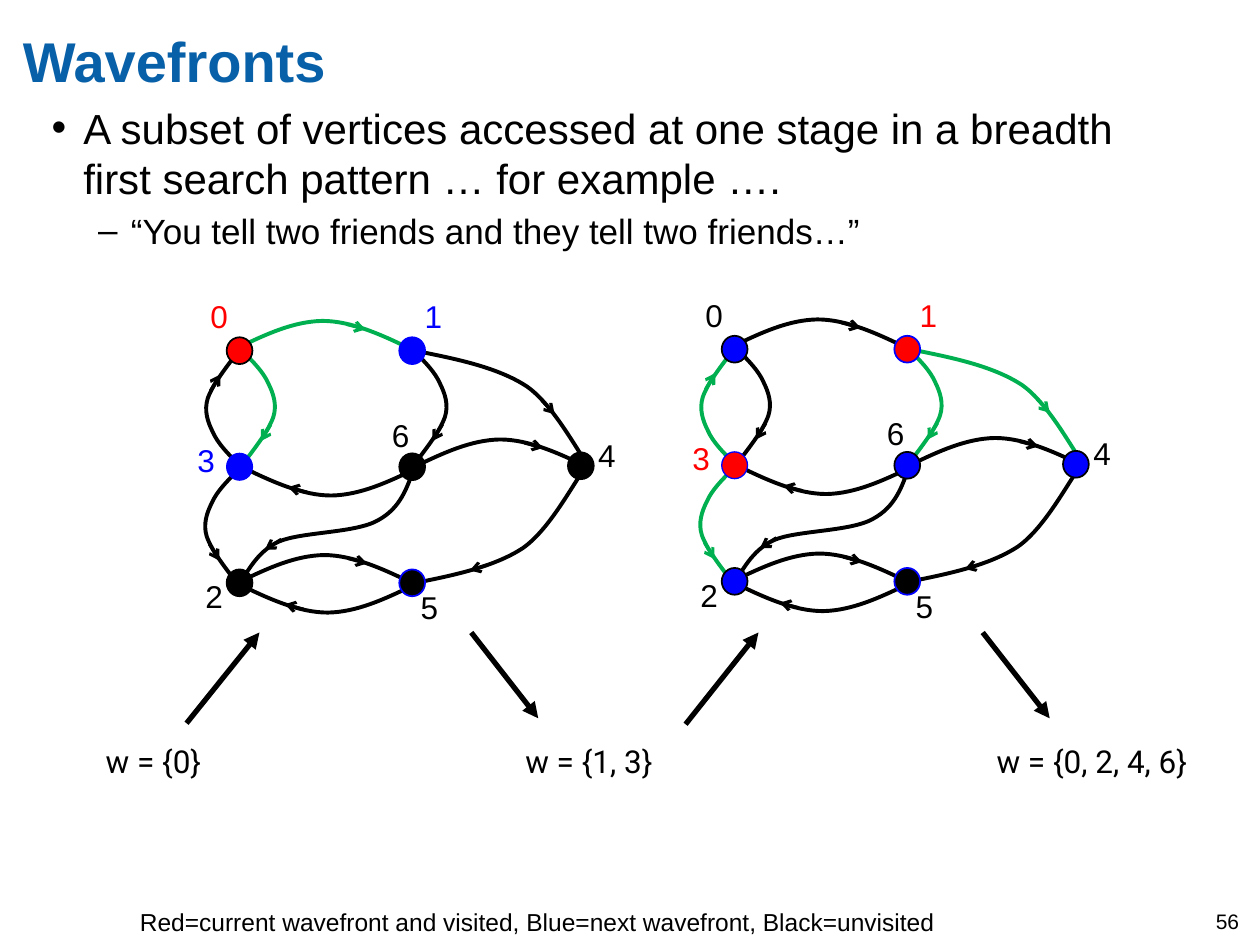
from lxml.etree import SubElement as add_element
from pptx import Presentation
from pptx.dml.color import RGBColor
from pptx.enum.shapes import MSO_CONNECTOR as Connector, MSO_SHAPE as Shape
from pptx.enum.text import MSO_ANCHOR as Anchor, MSO_AUTO_SIZE as AutoSize
from pptx.oxml.ns import qn
from pptx.util import Cm, Pt

rgb = RGBColor.from_string
BLACK, RED, BLUE, GREEN, TITLE = "000000", "FF0000", "0000FF", "00B050", "0860A8"

deck = Presentation()
deck.slide_width, deck.slide_height = Cm(25.4), Cm(19.05)
page = deck.slides.add_slide(deck.slide_layouts[6])


def add_text(shapes, place, lines, size, color=BLACK, font="Arial", inset=0.0, wrap=True):
    box = shapes.add_textbox(*[Cm(length) for length in place])
    frame = box.text_frame
    frame.text = lines
    frame.word_wrap = wrap
    frame.vertical_anchor = Anchor.TOP
    frame.auto_size = AutoSize.NONE if wrap else AutoSize.SHAPE_TO_FIT_TEXT
    frame.margin_left = frame.margin_right = Cm(inset)
    frame.margin_top = frame.margin_bottom = Cm(inset / 2)
    for para in frame.paragraphs:
        for span in para.runs:
            span.font.size = Pt(size)
            span.font.name = font
            span.font.color.rgb = rgb(color)
    return frame


def add_arrow(shapes, start, end, color, width, head):
    arrow = shapes.add_connector(Connector.STRAIGHT, *[Cm(length) for length in (*start, *end)])
    arrow.line.color.rgb = rgb(color)
    arrow.line.width = Pt(width)
    properties = arrow.element.spPr
    add_element(properties.find(qn("a:ln")), qn("a:tailEnd"), type=head)
    add_element(properties, qn("a:effectLst"))


title = add_text(page.shapes, (0.46, 0.53, 22.89, 2.46), "Wavefronts", 32, TITLE)
title.paragraphs[0].runs[0].font.bold = True

body = add_text(
    page.shapes, (1.04, 2.06, 22.89, 3.56),
    "A subset of vertices accessed at one stage in a breadth first search pattern … for example ….\n"
    "“You tell two friends and they tell two friends…”", 24)
for para, bullet, margin, hanging in zip(body.paragraphs, "•–", (0.64, 1.6), (0.64, 0.66)):
    layout = para._p.get_or_add_pPr()
    layout.set("marL", str(Cm(margin)))
    layout.set("indent", str(-Cm(hanging)))
    add_element(layout, qn("a:buFont"), typeface="Arial")
    add_element(layout, qn("a:buChar"), char=bullet)
detail = body.paragraphs[1]
detail.level = 1
detail.space_before = Pt(4)
detail.runs[0].font.size = Pt(20)

side = [(0.2, 0.2), (0.41, 0.41), (0.51, 0.64), (0.61, 0.84), (0.69, 1.07), (0.61, 1.32),
        (0.51, 1.6), (0.25, 1.93), (0, 2.26)]
arc = [(0.56, -0.27), (1.12, -0.53), (1.7, -0.54), (2.29, -0.54), (2.92, -0.25), (3.53, 0.05)]
sweep = [(-0.23, 0.28), (-0.71, 1.24), (-1.27, 1.63), (-1.85, 2.01), (-2.67, 2.18), (-3.48, 2.34)]
wave = [(-0.15, 0.43), (-0.28, 0.84), (-0.74, 1.09), (-1.19, 1.35), (-2.29, 1.32), (-2.74, 1.52),
        (-3.2, 1.73), (-3.38, 2.18), (-3.51, 2.31)]
curves = {
    "side": (side, [(0.56, 1.47), (0.36, 1.8)]),
    "arc": (arc, [(2.19, -0.47), (2.57, -0.37)]),
    "sweep": (sweep, [(-1.96, 1.96), (-2.34, 2.08)]),
    "rise": (sweep, [(-0.97, 1.35), (-0.71, 1.07)]),
    "wave": (wave, [(-2.69, 1.47), (-3.02, 1.68)]),
}
edges = [
    ("3-0", "side", 4.8, 9.35, -1, -1),
    ("0-3", "side", 4.9, 7.09, 1, 1),
    ("0-1", "arc", 4.8, 7.01, 1, 1),
    ("6-2", "wave", 8.36, 9.4, 1, 1),
    ("6-4", "arc", 8.38, 9.4, 1, 1),
    ("2-5", "arc", 4.83, 11.73, 1, 1),
    ("5-2", "arc", 8.31, 11.81, -1, -1),
    ("6-3", "arc", 8.38, 9.45, -1, -1),
    ("3-2", "side", 4.78, 9.5, -1, 1),
    ("1-6", "side", 8.36, 7.09, 1, 1),
    ("4-5", "sweep", 11.81, 9.42, 1, 1),
    ("1-4", "rise", 11.89, 9.42, 1, -1),
]
vertices = {
    "0": (4.83, 7.07, 3.99, 5.87),
    "5": (8.31, 11.75, 8.23, 11.73),
    "1": (8.31, 7.07, 8.31, 5.87),
    "6": (8.31, 9.41, 7.65, 8.26),
    "4": (11.71, 9.39, 11.81, 8.66),
    "3": (4.83, 9.41, 3.73, 8.76),
    "2": (4.83, 11.75, 3.89, 11.51),
}
graphs = [
    (0, 0, ["0-1", "0-3"], {"0": RED, "1": BLUE, "3": BLUE}, {"0": RED, "1": BLUE, "3": BLUE}),
    (9.98, -0.03, ["3-0", "3-2", "1-6", "1-4"],
     {"1": RED, "3": RED, "0": BLUE, "2": BLUE, "4": BLUE, "6": BLUE}, {"1": RED, "3": RED}),
]

for shift_x, shift_y, active, fills, label_colors in graphs:
    graph = page.shapes.add_group_shape().shapes
    for name, kind, x, y, flip_x, flip_y in edges:
        color = GREEN if name in active else BLACK
        x, y = x + shift_x, y + shift_y
        points, head = [[(x + flip_x * dx, y + flip_y * dy) for dx, dy in offsets]
                        for offsets in curves[kind]]
        add_arrow(graph, *head, color, 1.75, "arrow")
        builder = graph.build_freeform(Cm(x), Cm(y))
        builder.add_line_segments([(Cm(px), Cm(py)) for px, py in points], close=False)
        curve = builder.convert_to_shape()
        outline = next(curve.element.iter(qn("a:path")))
        segments = outline.findall(qn("a:lnTo"))
        for first in range(0, len(segments), 3):
            bend = add_element(outline, qn("a:cubicBezTo"))
            for segment in segments[first:first + 3]:
                bend.append(segment[0])
                outline.remove(segment)
        curve.fill.background()
        curve.line.color.rgb = rgb(color)
        curve.line.width = Pt(2.25)
        curve.shadow.inherit = False
    for number, (x, y, label_x, label_y) in vertices.items():
        node = graph.add_shape(Shape.OVAL, Cm(x + shift_x - 0.26), Cm(y + shift_y - 0.27),
                               Cm(0.52), Cm(0.54))
        node.fill.solid()
        node.fill.fore_color.rgb = rgb(fills.get(number, BLACK))
        node.line.color.rgb = rgb(BLUE if number in "135" else BLACK)
        node.line.width = Pt(0.75 if number == "3" else 1)
        node.shadow.inherit = False
        add_text(graph, (label_x + shift_x, label_y + shift_y, 0.86, 1.02), number, 18,
                 label_colors.get(number, BLACK), inset=0.25, wrap=False)

for left, width, wavefront in [(1.88, 2.82, "w = {0}"), (10.34, 3.58, "w = {1, 3}"),
                               (19.84, 5.05, "w = {0, 2, 4, 6}")]:
    add_text(page.shapes, (left, 14.83, width, 1.02), wavefront, 18, font="Roboto",
             inset=0.25, wrap=False)

for start, end in [((3.76, 14.58), (5.23, 12.75)), ((13.82, 14.6), (15.29, 12.75)),
                   ((9.5, 12.75), (10.85, 14.48)), ((19.81, 12.75), (21.16, 14.48))]:
    add_arrow(page.shapes, start, end, BLACK, 3, "triangle")

add_text(page.shapes, (2.82, 18.29, 19.96, 0.64),
         "Red=current wavefront and visited, Blue=next wavefront, Black=unvisited", 14)
add_text(page.shapes, (24.26, 18.19, 1.14, 0.84), "56", 12, inset=0.25)

deck.save("out.pptx")
